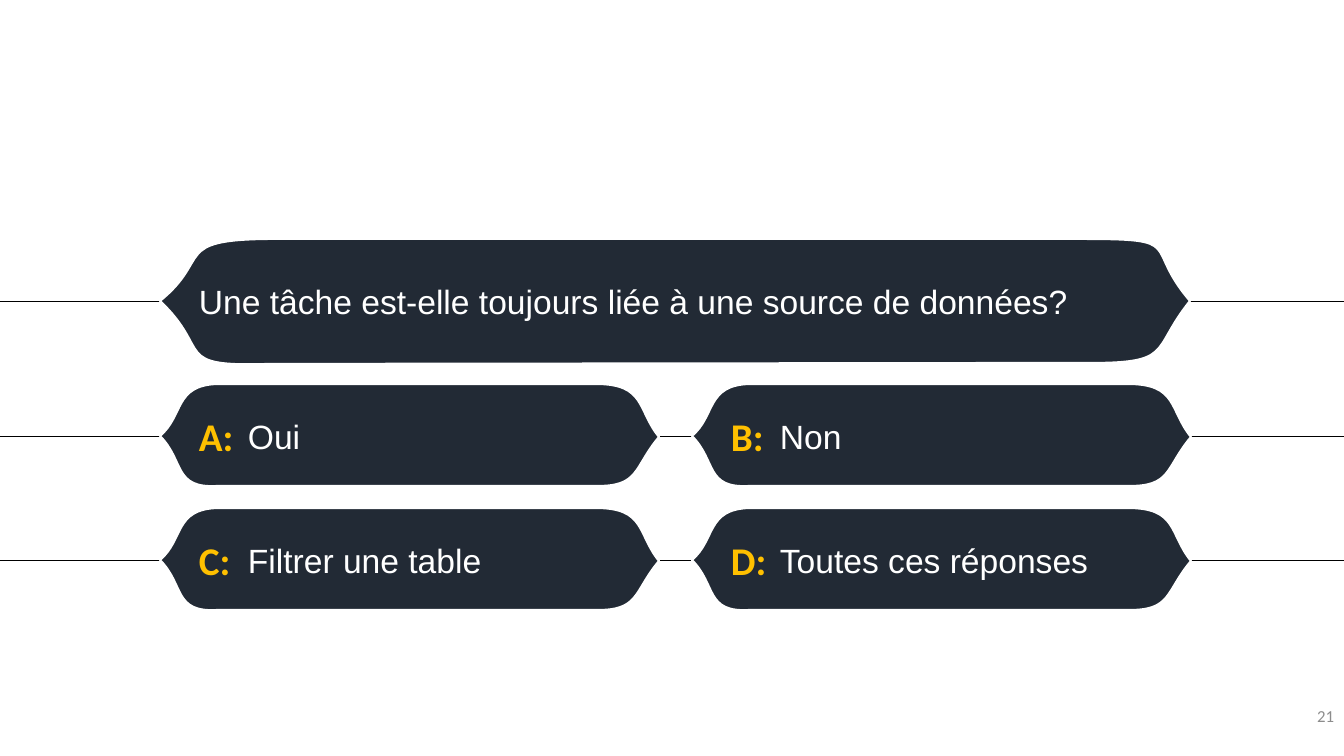
from pptx import Presentation
from pptx import util as u
from pptx.dml.color import RGBColor
from pptx.enum import shapes, text
from pptx.oxml.ns import qn
from lxml import etree

COLORS = {"navy": "222A35", "gold": "FFC000", "white": "FFFFFF",
          "black": "000000", "gray": "8C8C8C"}
EMU_PER_PX = 914400 / 100.8

# Each segment lists its control points, if any, and then its end point.
QUESTION_OUTLINE = [
    [(0, 62)], [(52, 20), (12, 1), (108, 0)], [(922, 0)],
    [(1028, 0), (982, 6), (1030, 62)], [(989, 113), (1016, 125), (920, 124)],
    [(108, 125)], [(11, 128), (53, 112), (0, 62)]]
ANSWER_OUTLINE = [
    [(0, 52)], [(24, 32), (14, 1), (58, 0)], [(436, 0)],
    [(486, 0), (477, 26), (499, 53)], [(473, 84), (480, 103), (435, 102)],
    [(58, 102)], [(13, 105), (25, 77), (0, 52)]]

# Letter, width of its box, whether the box is filled, answer
ANSWERS = [[("A:", 57, True, "Oui"), ("B:", 54, False, "Non")],
           [("C:", 57, False, "Filtrer une table"),
            ("D:", 67, True, "Toutes ces réponses")]]
LEFT, ANSWER_TOP = 160, 384
COLUMN_STEP, ROW_STEP = 532, 124


def emu(pixels):
    return u.Emu(round(pixels * EMU_PER_PX))


def color(name):
    return RGBColor.from_string(COLORS[name])


class QuizSlide:
    def __init__(self, presentation):
        self.slide = presentation.slides.add_slide(presentation.slide_layouts[6])

    def rule(self, y):
        """Draw a thin line across the slide."""
        line = self.slide.shapes.add_connector(
            shapes.MSO_CONNECTOR.STRAIGHT, 0, emu(y), emu(1344), emu(y))
        line.line.color.rgb = color("black")
        line.line.width = u.Pt(0.5)
        etree.SubElement(line.element.spPr, qn("a:effectLst"))

    def bar(self, left, top, outline):
        """Build the outline from its end points, then bend the curved segments."""
        ends = [segment[-1] for segment in outline]
        builder = self.slide.shapes.build_freeform(*ends[0], scale=EMU_PER_PX)
        builder.add_line_segments(ends[1:], close=True)
        shape = builder.convert_to_shape(emu(left), emu(top))
        lines = list(shape.element.iter(qn("a:lnTo")))
        for line, segment in zip(lines, outline[1:]):
            if len(segment) == 3:
                line.addprevious(self.curve(segment))
                line.getparent().remove(line)
        shape.shadow.inherit = False
        shape.fill.solid()
        shape.fill.fore_color.rgb = color("navy")
        shape.line.color.rgb = color("white")
        shape.line.width = u.Pt(1.5)

    def curve(self, points):
        element = etree.Element(qn("a:cubicBezTo"))
        for x, y in points:
            etree.SubElement(element, qn("a:pt"), x=str(x), y=str(y))
        return element

    def label(self, box, words, size, font_color="white", font_name="Arial",
              bold=False, anchor=text.MSO_ANCHOR.MIDDLE,
              alignment=text.PP_ALIGN.LEFT, filled=False, grow=False):
        place = [emu(length) for length in box]
        if filled:
            shape = self.slide.shapes.add_shape(
                shapes.MSO_SHAPE.RECTANGLE, *place)
            shape.shadow.inherit = False
            shape.fill.solid()
            shape.fill.fore_color.rgb = color("navy")
            shape.line.fill.background()
        else:
            shape = self.slide.shapes.add_textbox(*place)
        frame = shape.text_frame
        frame.word_wrap = not grow
        if grow:
            frame.auto_size = text.MSO_AUTO_SIZE.SHAPE_TO_FIT_TEXT
        frame.vertical_anchor = anchor
        paragraph = frame.paragraphs[0]
        paragraph.text = words
        paragraph.alignment = alignment
        font = paragraph.font
        font.name, font.size, font.bold = font_name, u.Pt(size), bold
        font.color.rgb = color(font_color)

    def answer(self, left, top, letter, letter_width, filled, words):
        self.bar(left, top, ANSWER_OUTLINE)
        self.label((left + 29, top + 23, letter_width, 57), letter, 28, "gold",
                   "Calibri", bold=True, anchor=text.MSO_ANCHOR.TOP,
                   filled=filled, grow=True)
        self.label((left + 78, top + 2, 373, 101), words, 24)


def main():
    presentation = Presentation()
    presentation.slide_width, presentation.slide_height = emu(1344), emu(756)
    quiz = QuizSlide(presentation)

    quiz.label((1042, 701, 302, 40), "21", 12, "gray", "Calibri",
               anchor=text.MSO_ANCHOR.TOP, alignment=text.PP_ALIGN.RIGHT)

    for row in (1, 0):
        top = ANSWER_TOP + row * ROW_STEP
        quiz.rule(top + 52)
        for column in (1, 0):
            quiz.answer(LEFT + column * COLUMN_STEP, top, *ANSWERS[row][column])

    quiz.rule(301)
    quiz.bar(LEFT, 239, QUESTION_OUTLINE)
    quiz.label((189, 250, 975, 103),
               "Une tâche est-elle toujours liée à une source de données?", 24)
    presentation.save("out.pptx")


if __name__ == "__main__":
    main()
